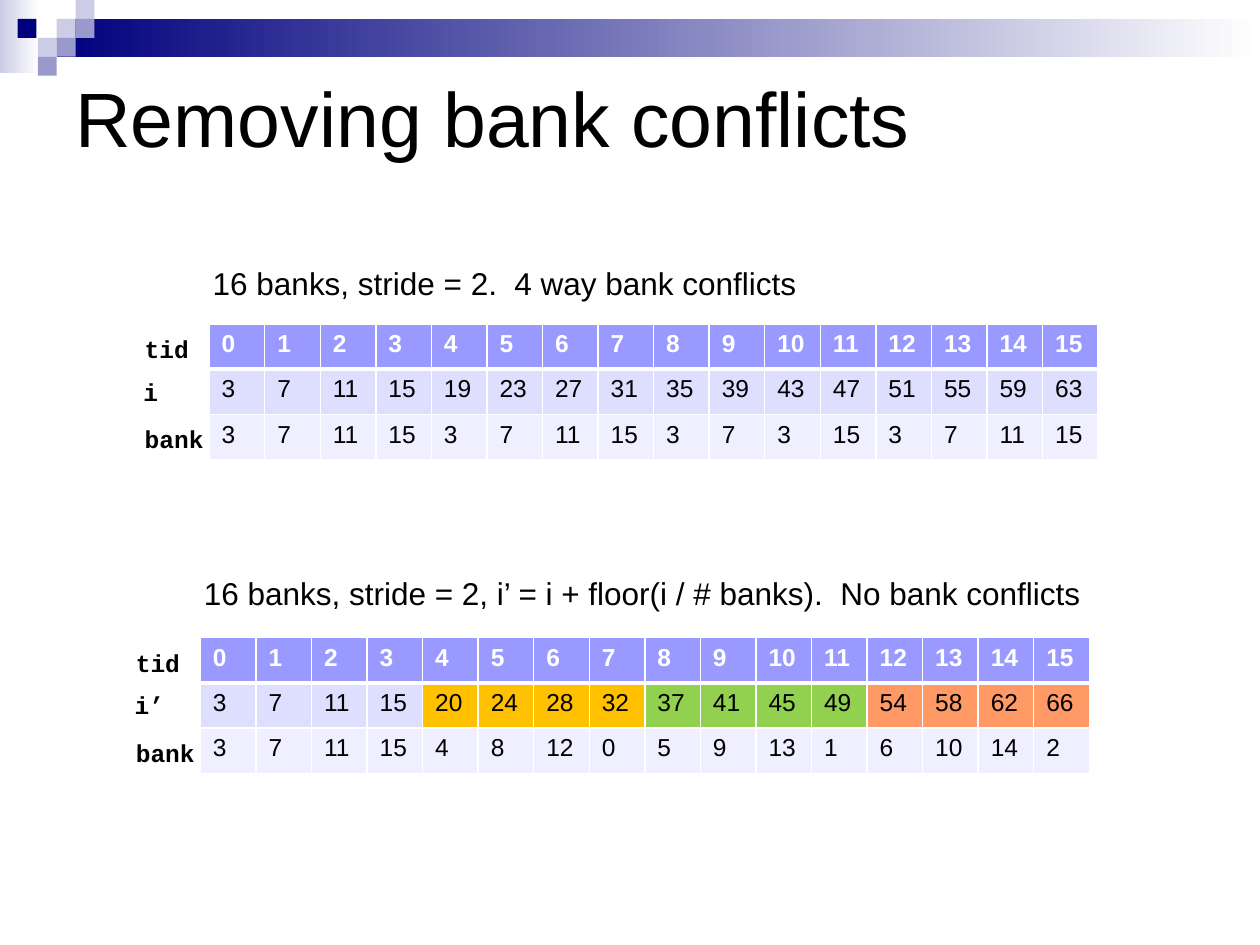
from lxml.etree import SubElement as Sub
from pptx import Presentation
from pptx.dml.color import RGBColor as RGB
from pptx.enum.shapes import MSO_SHAPE as Kind
from pptx.enum.text import MSO_ANCHOR as Anchor, MSO_AUTO_SIZE as Fit
from pptx.oxml.ns import qn
from pptx.util import Inches, Pt

COLS, ROWS = 100, 75
HUES = {
    "black": "000000", "white": "FFFFFF", "navy": "00007D",
    "pale": "CCCCE6", "mauve": "9999CC", "head": "9999FF",
    "light": "DEDEFF", "faint": "EFEFFF",
    "gold": "FFC000", "green": "92D050", "coral": "FF9966",
}
STYLES = {
    "title": dict(name="Arial", size=Pt(44), bold=False),
    "note": dict(name="Arial", size=Pt(18), bold=False),
    "code": dict(name="Courier New", size=Pt(14), bold=True),
    "head": dict(name="Arial", size=Pt(14), bold=True),
    "cell": dict(name="Arial", size=Pt(14), bold=False),
}


def hue(name):
    return RGB.from_string(HUES[name])


class Deck:
    """Draws on one slide, on a grid of COLS by ROWS."""

    def __init__(self):
        self.file = Presentation()
        self.file.slide_width = Inches(10)
        self.file.slide_height = Inches(7.5)
        self.slide = self.file.slides.add_slide(self.file.slide_layouts[6])

    def place(self, x, y, w, h):
        wide = self.file.slide_width / COLS
        high = self.file.slide_height / ROWS
        return [round(n) for n in (x * wide, y * high, w * wide, h * high)]

    def label(self, frame, text, style, color="black"):
        para = frame.paragraphs[0]
        para.text = text
        for key, value in STYLES[style].items():
            setattr(para.font, key, value)
        para.font.color.rgb = hue(color)

    def text(self, box, text, style):
        frame = self.slide.shapes.add_textbox(*self.place(*box)).text_frame
        frame.word_wrap = True
        if style == "title":
            frame.vertical_anchor = Anchor.MIDDLE
        else:
            frame.auto_size = Fit.SHAPE_TO_FIT_TEXT
        self.label(frame, text, style)

    def block(self, box, *tones):
        """Rectangle in one tone, or fading from the first tone to the second."""
        shape = self.slide.shapes.add_shape(Kind.RECTANGLE, *self.place(*box))
        shape.shadow.inherit = False
        shape.line.fill.background()
        if len(tones) == 1:
            shape.fill.solid()
            shape.fill.fore_color.rgb = hue(tones[0])
            return
        shape.fill.gradient()
        shape.fill.gradient_angle = 0
        for stop, tone in zip(shape.fill.gradient_stops, tones):
            stop.color.rgb = hue(tone)

    def edge(self, cell, **sides):
        """White borders, with the width in points for each side."""
        props = cell._tc.get_or_add_tcPr()
        for spot, (side, width) in enumerate(sides.items()):
            line = Sub(props, qn("a:ln" + side), w=str(Pt(width)))
            Sub(Sub(line, qn("a:solidFill")), qn("a:srgbClr"), val=HUES["white"])
            props.insert(spot, line)

    def table(self, box, data, fills):
        grid = self.slide.shapes.add_table(
            len(data), len(data[0]), *self.place(*box)).table
        grid.first_row = grid.horz_banding = False
        for r, row in enumerate(data):
            for c, value in enumerate(row):
                cell = grid.cell(r, c)
                cell.fill.solid()
                cell.fill.fore_color.rgb = hue(fills[r][c])
                style, color = ("cell", "black") if r else ("head", "white")
                self.label(cell.text_frame, str(value), style, color)
                self.edge(cell, L=1, R=1, T=3 if r == 1 else 1, B=1 if r else 3)


def banner(deck):
    deck.block((0, 0, 3.1, 5.8), "pale", "white")
    deck.block((4.5, 1.5, 95.5, 3), "navy", "white")
    side = 1.5
    for x, y, tone in [
        (3, 1, "pale"), (4, 0, "pale"), (4, 1, "mauve"), (2, 2, "pale"),
        (0.93, 1, "navy"), (3, 2, "mauve"), (2, 3, "mauve"),
    ]:
        deck.block((x * side, y * side, side, side), tone)


def panel(deck, x, y, note, wide, gap, name, data, tones):
    """Captioned bank table; tones colour the index row, four cells each."""
    fills = [["head"] * 16, [t for t in tones for _ in range(4)], ["faint"] * 16]
    deck.table((x, y, 70.6, 10.8), data, fills)
    for drop, label in zip((0.3, 3.7, 7.5), ("tid", name, "bank")):
        nudge = 0.1 if label == name else 0
        deck.text((x - 6.1 - nudge, y + drop, 7, 3.4), label, "code")
    deck.text((x - 0.7, y - gap, wide, 4), note, "note")


def main():
    deck = Deck()
    banner(deck)
    deck.text((5, 5, 90, 8.6), "Removing bank conflicts", "title")

    tids = list(range(16))
    index = [4 * t + 3 for t in tids]
    banks = [i % 16 for i in index]
    banks[10] = 3
    panel(deck, 16.6, 25.7, "16 banks, stride = 2.  4 way bank conflicts",
          54.3, 5.2, "i", [tids, index, banks], ["light"] * 4)

    shifted = [i + i // 16 for i in index]
    panel(deck, 15.9, 50.6,
          "16 banks, stride = 2, i’ = i + floor(i / # banks).  No bank conflicts",
          76.6, 5.5, "i’", [tids, shifted, [i % 16 for i in shifted]],
          ["light", "gold", "green", "coral"])
    deck.file.save("out.pptx")


if __name__ == "__main__":
    main()
